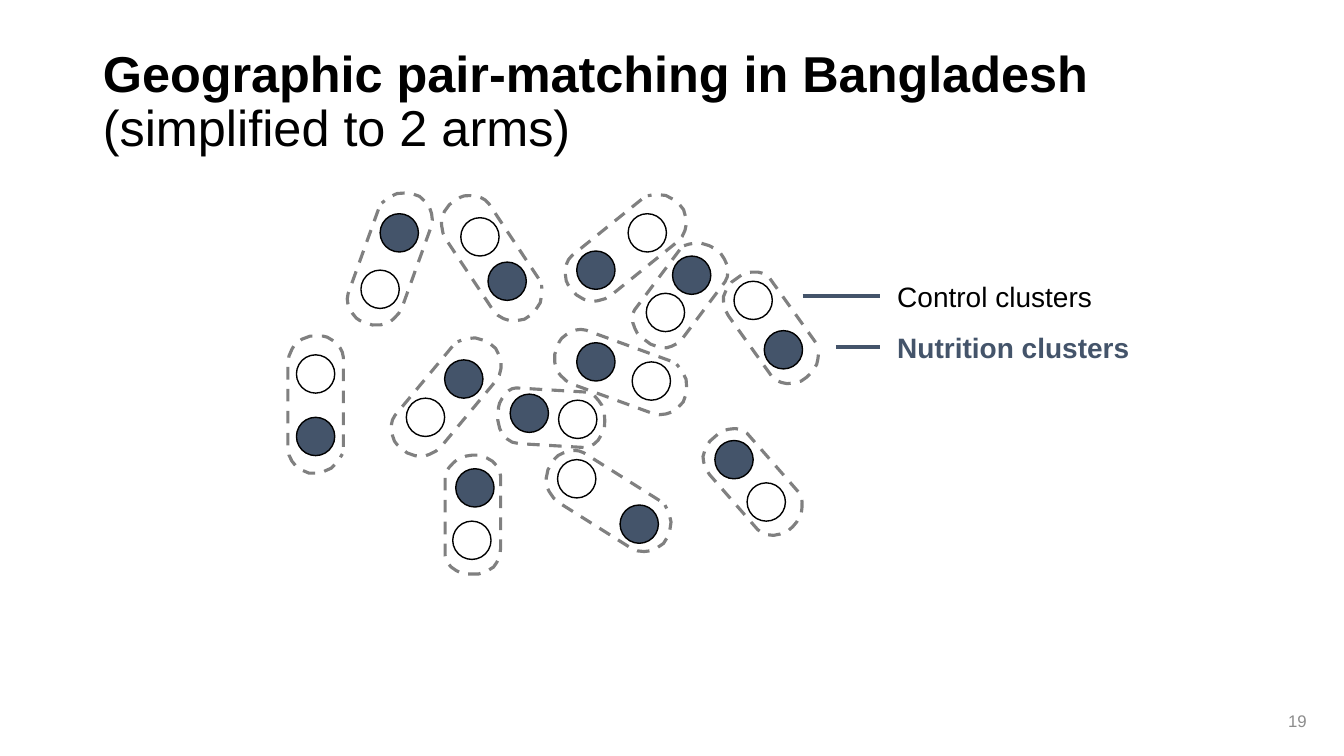
from dataclasses import dataclass

from lxml import etree
from pptx import Presentation
from pptx.dml.color import RGBColor
from pptx.enum import dml, shapes, text
from pptx.oxml.ns import qn
from pptx.util import Inches, Pt

BLACK = RGBColor(0x00, 0x00, 0x00)
NAVY = RGBColor(0x44, 0x54, 0x6A)
GRAY = RGBColor(0x80, 0x80, 0x80)
NUMBER_GRAY = RGBColor(0x8C, 0x8C, 0x8C)
FONT = "Arial"

CLUSTER_SIZE = 0.38
FULL_LENGTH = 1.36

# Lasso outline lying flat, drawn at full length; shorter ones shrink along x
LASSO = [
    (1.1, 0), (0.21, 0), (0.16, 0.01), (0.12, 0.03), (0.08, 0.06),
    (0.04, 0.11), (0.01, 0.16), (0, 0.2), (0, 0.28), (0, 0.33),
    (0.03, 0.41), (0.08, 0.48), (0.13, 0.51), (0.2, 0.54), (0.29, 0.55),
    (1.12, 0.55), (1.18, 0.54), (1.24, 0.51), (1.29, 0.47), (1.33, 0.41),
    (1.36, 0.34), (1.36, 0.27), (1.35, 0.21), (1.31, 0.12), (1.27, 0.08),
    (1.22, 0.04), (1.17, 0.01),
]


@dataclass(frozen=True)
class MatchedPair:
    nutrition: tuple[float, float]
    control: tuple[float, float]
    lasso: tuple[float, float]
    angle: float
    length: float = FULL_LENGTH


@dataclass(frozen=True)
class LegendEntry:
    label: str
    color: RGBColor
    bold: bool
    top: float
    width: float
    line_start: float
    line_y: float


PAIRS = [
    MatchedPair((3.77, 2.12), (3.58, 2.68), (3.19, 2.29), 289.8),
    MatchedPair((4.84, 2.6), (4.57, 2.16), (4.2, 2.29), 56.4),
    MatchedPair((2.94, 4.14), (2.94, 3.52), (2.45, 3.74), 90),
    MatchedPair((4.41, 3.57), (4.03, 3.95), (3.75, 3.66), 309.8),
    MatchedPair((5.72, 2.49), (6.23, 2.12), (5.53, 2.18), 321.1),
    MatchedPair((6.67, 2.54), (6.41, 2.91), (6.18, 2.65), 306.9, 1.14),
    MatchedPair((5.72, 3.4), (6.27, 3.59), (5.48, 3.42), 20),
    MatchedPair((7.58, 3.28), (7.28, 2.79), (7.05, 2.98), 54.4, 1.2),
    MatchedPair((6.15, 5.01), (5.53, 4.56), (5.36, 4.7), 32.2),
    MatchedPair((5.06, 3.91), (5.54, 3.97), (4.94, 3.87), 3.4, 1.06),
    MatchedPair((4.52, 4.65), (4.49, 5.17), (4.1, 4.83), 270, 1.18),
    MatchedPair((7.09, 4.37), (7.41, 4.79), (6.88, 4.51), 48.8, 1.18),
]

LEGEND = [
    LegendEntry("Control clusters", BLACK, False, 2.72, 2.15, 7.96, 2.94),
    LegendEntry("Nutrition clusters", NAVY, True, 3.23, 2.52, 8.29, 3.44),
]


def add_run(paragraph, words: str, size: float, color: RGBColor, bold: bool = False) -> None:
    run = paragraph.add_run()
    run.text = words
    run.font.name = FONT
    run.font.size = Pt(size)
    run.font.bold = bold
    run.font.color.rgb = color


def add_cluster(slide, position: tuple[float, float], is_nutrition: bool) -> None:
    x, y = position
    cluster = slide.shapes.add_shape(
        shapes.MSO_SHAPE.OVAL, Inches(x), Inches(y),
        Inches(CLUSTER_SIZE), Inches(CLUSTER_SIZE))
    cluster.shadow.inherit = False
    if is_nutrition:
        cluster.fill.solid()
        cluster.fill.fore_color.rgb = NAVY
    else:
        cluster.fill.background()
    cluster.line.color.rgb = BLACK
    cluster.line.width = Pt(1)


def add_lasso(slide, pair: MatchedPair) -> None:
    left, top = pair.lasso
    stretch = pair.length / FULL_LENGTH
    points = [(Inches(left + x * stretch), Inches(top + y)) for x, y in LASSO]
    builder = slide.shapes.build_freeform(*points[0])
    builder.add_line_segments(points[1:], close=False)
    lasso = builder.convert_to_shape()
    lasso.rotation = pair.angle
    lasso.shadow.inherit = False
    lasso.fill.background()
    lasso.line.color.rgb = GRAY
    lasso.line.width = Pt(2.25)
    lasso.line.dash_style = dml.MSO_LINE.DASH


def add_legend_entry(slide, entry: LegendEntry) -> None:
    pointer = slide.shapes.add_connector(
        shapes.MSO_CONNECTOR.STRAIGHT, Inches(entry.line_start), Inches(entry.line_y),
        Inches(8.73), Inches(entry.line_y))
    pointer.line.color.rgb = NAVY
    pointer.line.width = Pt(3)
    etree.SubElement(pointer._element.spPr, qn("a:effectLst"))

    label = slide.shapes.add_textbox(
        Inches(8.8), Inches(entry.top), Inches(entry.width), Inches(0.44))
    label.text_frame.word_wrap = False
    label.text_frame.auto_size = text.MSO_AUTO_SIZE.SHAPE_TO_FIT_TEXT
    add_run(label.text_frame.paragraphs[0], entry.label, 20, entry.color, entry.bold)


def add_title(slide) -> None:
    title = slide.shapes.title
    title.left, title.top = Inches(0.92), Inches(0.4)
    title.width, title.height = Inches(11.5), Inches(1.25)
    title.text_frame.word_wrap = True
    title.text_frame.vertical_anchor = text.MSO_ANCHOR.MIDDLE
    heading = title.text_frame.paragraphs[0]
    heading.alignment = text.PP_ALIGN.LEFT
    heading.line_spacing = 0.9
    add_run(heading, "Geographic pair-matching in Bangladesh", 36, BLACK, bold=True)
    heading.add_line_break()
    add_run(heading, "(simplified to 2 arms)", 36, BLACK)


def add_page_number(slide) -> None:
    page_number = slide.shapes.add_textbox(
        Inches(10.06), Inches(6.95), Inches(3), Inches(0.4))
    page_number.text_frame.word_wrap = True
    page_number.text_frame.vertical_anchor = text.MSO_ANCHOR.MIDDLE
    paragraph = page_number.text_frame.paragraphs[0]
    paragraph.alignment = text.PP_ALIGN.RIGHT
    add_run(paragraph, "19", 12, NUMBER_GRAY)


def main() -> None:
    deck = Presentation()
    deck.slide_width, deck.slide_height = Inches(13.33), Inches(7.5)
    slide = deck.slides.add_slide(deck.slide_layouts[5])

    # Title and page number
    add_title(slide)
    add_page_number(slide)

    # Map of clusters, then the lassos that pair them
    for pair in PAIRS:
        add_cluster(slide, pair.nutrition, is_nutrition=True)
        add_cluster(slide, pair.control, is_nutrition=False)
    for pair in PAIRS:
        add_lasso(slide, pair)

    # Legend
    for entry in LEGEND:
        add_legend_entry(slide, entry)

    deck.save("out.pptx")


if __name__ == "__main__":
    main()
